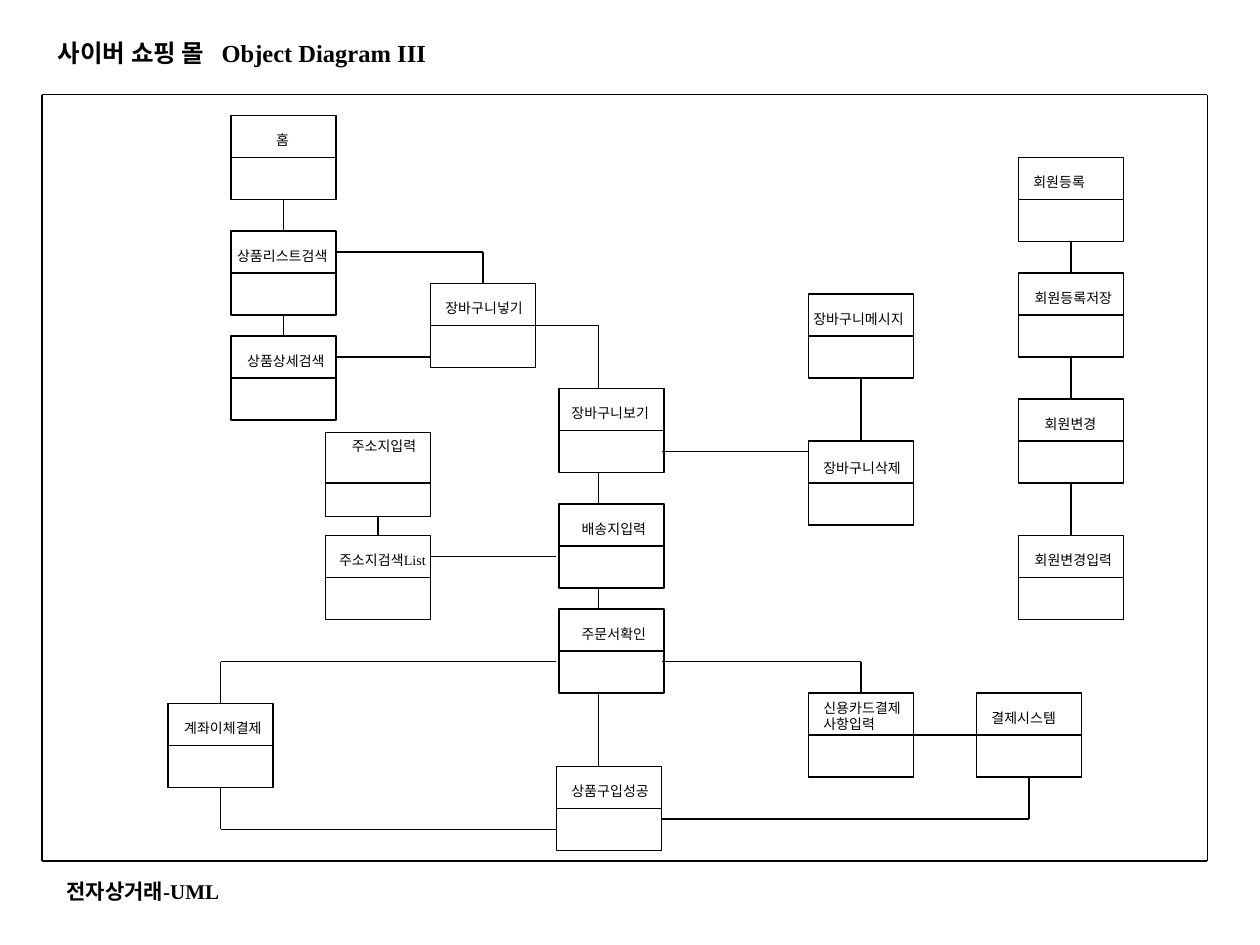
from dataclasses import dataclass
from typing import NamedTuple

from lxml import etree
from pptx import Presentation, util as u
from pptx.dml.color import RGBColor
from pptx.enum import shapes, text
from pptx.oxml import ns

BLACK = RGBColor(0x00, 0x00, 0x00)
WHITE = RGBColor(0xFF, 0xFF, 0xFF)
FONT = "Times New Roman"
LINE_WIDTH = u.Pt(0.75)
BOX_WIDTH, BOX_HEIGHT = 10, 8
TOP, LEFT, BOTTOM, RIGHT = range(4)


class Point(NamedTuple):
    x: float
    y: float


class Port(NamedTuple):
    name: str
    side: int


@dataclass
class ObjectBox:
    name: str
    x: float
    y: float
    label_dx: float
    label_dy: float = 0.08
    header: float = 4


CARD = "신용카드결제\n사항입력"
BOXES = [
    ObjectBox("장바구니보기", 53.25, 37, 0),
    ObjectBox("주소지입력", 31, 41.2, 0.11, -0.01, 4.8),
    ObjectBox("장바구니넣기", 41, 27, 0.02),
    ObjectBox("상품상세검색", 22, 32, 0.03),
    ObjectBox("상품리스트검색", 22, 22, -0.05),
    ObjectBox("홈", 22, 11, 0.26),
    ObjectBox("회원변경입력", 97, 51, 0.03),
    ObjectBox("주문서확인", 53.25, 58, 0.08),
    ObjectBox("장바구니삭제", 77, 42, 0.02, 0.1),
    ObjectBox("장바구니메시지", 77, 28, -0.06),
    ObjectBox("주소지검색List", 31, 51, 0.01),
    ObjectBox("배송지입력", 53.25, 48, 0.08),
    ObjectBox("결제시스템", 93, 66, 0.02),
    ObjectBox(CARD, 77, 66, 0.02, 0),
    ObjectBox("상품구입성공", 53, 73, 0.02),
    ObjectBox("계좌이체결제", 16, 67, 0.03),
    ObjectBox("회원변경", 97, 38, 0.11),
    ObjectBox("회원등록저장", 97, 26, 0.03),
    ObjectBox("회원등록", 97, 15, 0.02),
]

STACKS = [
    ("홈", "상품리스트검색", "상품상세검색"),
    ("주소지입력", "주소지검색List"),
    ("장바구니메시지", "장바구니삭제"),
    ("회원등록", "회원등록저장", "회원변경", "회원변경입력"),
]
ROUTES = [
    [Point(32, 24), Point(46, 24), Port("장바구니넣기", TOP)],
    [Point(32, 34), Point(41, 34)],
    [Port("장바구니넣기", RIGHT), Point(57, 31), Point(57, 37)],
    [Point(57, 45), Point(57, 48)],
    [Point(57, 56), Point(57, 58)],
    [Point(57, 66), Point(57, 73)],
    [Point(63, 43), Point(77, 43)],
    [Point(41, 53), Point(53, 53)],
    [Point(53, 63), Point(21, 63), Port("계좌이체결제", TOP)],
    [Port("계좌이체결제", BOTTOM), Point(21, 79), Point(53, 79)],
    [Point(63, 63), Point(82, 63), Port(CARD, TOP)],
    [Port(CARD, RIGHT), Port("결제시스템", LEFT)],
    [Port("결제시스템", BOTTOM), Point(98, 78), Point(63, 78)],
]
FRAME = [Point(4, 9), Point(115, 9), Point(115, 82), Point(4, 82), Point(4, 9)]


def grid(steps: float) -> u.Length:
    return u.Emu(round(u.Inches(1) * steps / 12))


def port_point(port: Port) -> Point:
    box = next(item for item in BOXES if item.name == port.name)
    dx, dy = ((0.5, 0), (0, 0.5), (0.5, 1), (1, 0.5))[port.side]
    return Point(box.x + dx * BOX_WIDTH, box.y + dy * BOX_HEIGHT)


def draw_line(page, start: Point | Port, end: Point | Port, drawn: dict) -> None:
    first, last = (port_point(stop) if isinstance(stop, Port) else stop
                   for stop in (start, end))
    line = page.shapes.add_connector(
        shapes.MSO_CONNECTOR.STRAIGHT,
        grid(first.x), grid(first.y), grid(last.x), grid(last.y))
    line.line.color.rgb = BLACK
    line.line.width = LINE_WIDTH
    etree.SubElement(line._element.spPr, ns.qn("a:effectLst"))
    if isinstance(start, Port):
        line.begin_connect(drawn[start.name], start.side)
    if isinstance(end, Port):
        line.end_connect(drawn[end.name], end.side)


def draw_route(page, stops: list, drawn: dict) -> None:
    for start, end in zip(stops, stops[1:]):
        draw_line(page, start, end, drawn)


def draw_text(page, left: float, top: float, width: float, height: float,
              wording: str, size: float, bold: bool = False,
              tab: float | None = None) -> None:
    box = page.shapes.add_textbox(
        u.Inches(left), u.Inches(top), u.Inches(width), u.Inches(height))
    frame = box.text_frame
    frame.word_wrap = True
    frame.auto_size = text.MSO_AUTO_SIZE.NONE
    frame.margin_right = 0
    frame.text = wording
    for para in frame.paragraphs:
        if tab is not None:
            stops = etree.SubElement(para._p.get_or_add_pPr(), ns.qn("a:tabLst"))
            etree.SubElement(stops, ns.qn("a:tab"),
                             pos=str(u.Inches(tab)), algn="l")
        para.font.name = FONT
        para.font.size = u.Pt(size)
        para.font.bold = bold
        para.font.color.rgb = BLACK


def draw_box(page, box: ObjectBox, drawn: dict) -> None:
    body = page.shapes.add_shape(
        shapes.MSO_SHAPE.RECTANGLE, grid(box.x), grid(box.y),
        grid(BOX_WIDTH), grid(BOX_HEIGHT))
    body.shadow.inherit = False
    body.fill.solid()
    body.fill.fore_color.rgb = WHITE
    body.line.color.rgb = BLACK
    body.line.width = LINE_WIDTH
    drawn[box.name] = body
    divider = box.y + box.header
    draw_line(page, Point(box.x, divider),
              Point(box.x + BOX_WIDTH, divider), drawn)
    lines = box.name.split("\n")
    width = 0.2 + max(sum(0.05 if char.isascii() else 0.1 for char in line)
                      for line in lines) * 1.02
    draw_text(page, box.x / 12 + box.label_dx, box.y / 12 + box.label_dy,
              width, 0.11 + 0.13 * len(lines), box.name, 8)


def main() -> None:
    deck = Presentation()
    deck.slide_width, deck.slide_height = u.Inches(10), u.Inches(7.5)
    page = deck.slides.add_slide(deck.slide_layouts[6])
    drawn = {}
    draw_text(page, 0.36, 0.25, 3.12, 0.34,
              "사이버 쇼핑 몰\tObject Diagram III", 14, True, 1.3)
    draw_text(page, 0.43, 6.92, 1.45, 0.3, "전자상거래-UML", 12, True)
    draw_route(page, FRAME, drawn)
    for box in BOXES:
        draw_box(page, box, drawn)
    for stack in STACKS:
        for upper, lower in zip(stack, stack[1:]):
            draw_line(page, Port(upper, BOTTOM), Port(lower, TOP), drawn)
    for route in ROUTES:
        draw_route(page, route, drawn)
    deck.save("out.pptx")


if __name__ == "__main__":
    main()
